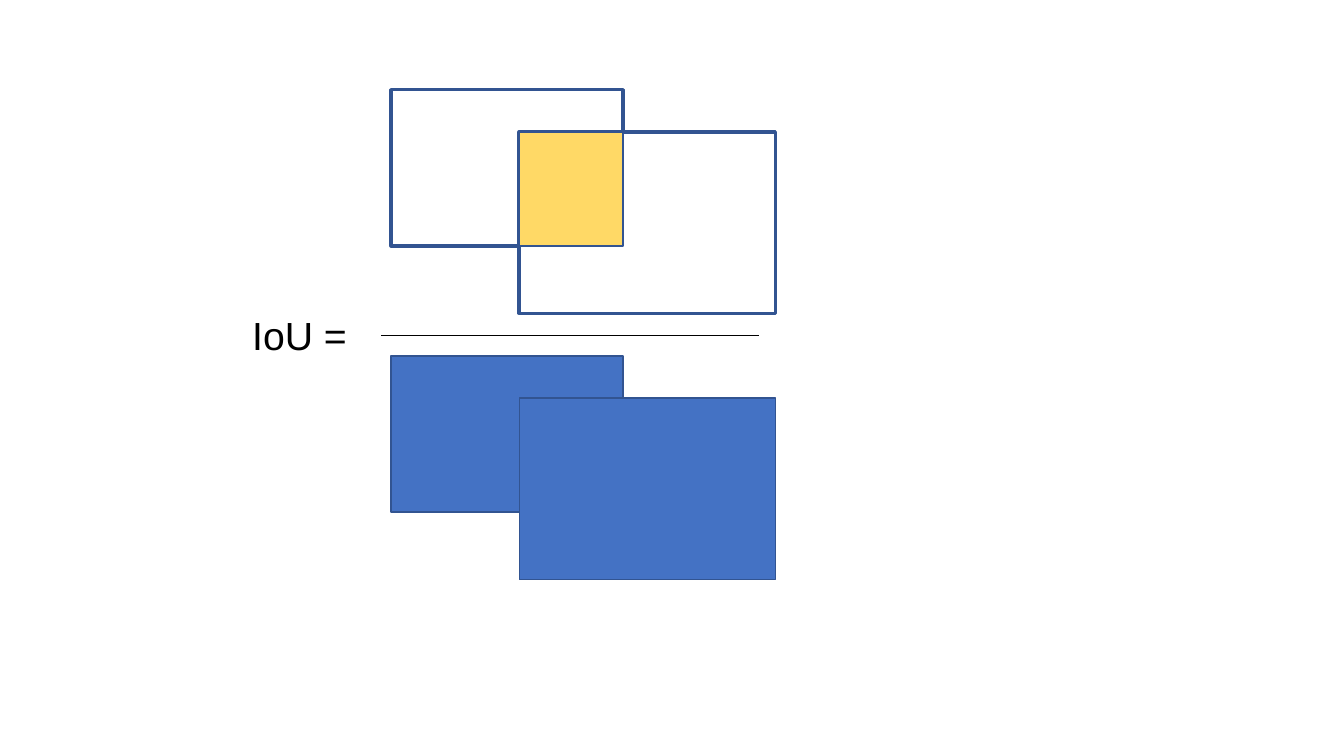
"""Draw intersection over union as a fraction of overlapping boxes."""
from lxml import etree
from pptx import Presentation, util as u
from pptx.dml.color import RGBColor
from pptx.enum import shapes, text
from pptx.oxml.ns import qn

WHITE = RGBColor(0xFF, 0xFF, 0xFF)
BLACK = RGBColor(0, 0, 0)
BLUE = RGBColor(0x44, 0x72, 0xC4)
NAVY = RGBColor(0x32, 0x54, 0x91)
GOLD = RGBColor(0xFF, 0xD9, 0x66)

SCALE = 9144
SIZE = 1333, 750
LABEL = "IoU = "
LABEL_BOX = 201, 304, 203, 57
BAR = 378, 333, 753, 333
FIRST = 388, 89, 230, 155
SECOND = 515, 131, 254, 180
DROP = 264


def px(*nums):
    return [u.Emu(n * SCALE) for n in nums]


def shift(box, dy):
    left, top, wide, high = box
    return left, top + dy, wide, high


def overlap(one, two):
    left, top = max(one[0], two[0]), max(one[1], two[1])
    right = min(one[0] + one[2], two[0] + two[2])
    base = min(one[1] + one[3], two[1] + two[3])
    return left, top, right - left, base - top


def add_rect(slide, box, fill, width):
    rect = slide.shapes.add_shape(shapes.MSO_SHAPE.RECTANGLE, *px(*box))
    rect.shadow.inherit = False
    rect.fill.solid()
    rect.fill.fore_color.rgb = fill
    rect.line.color.rgb = NAVY
    rect.line.width = u.Pt(width)


def add_label(slide):
    frame = slide.shapes.add_textbox(*px(*LABEL_BOX)).text_frame
    form = {"word_wrap": True, "auto_size": text.MSO_AUTO_SIZE.SHAPE_TO_FIT_TEXT}
    for key, value in form.items():
        setattr(frame, key, value)
    para = frame.paragraphs[0]
    para.alignment = text.PP_ALIGN.CENTER
    run = para.add_run()
    run.text = LABEL
    for key, value in {"name": "Arial", "size": u.Pt(28)}.items():
        setattr(run.font, key, value)
    run.font.color.rgb = BLACK


def add_bar(slide):
    bar = slide.shapes.add_connector(shapes.MSO_CONNECTOR.STRAIGHT, *px(*BAR))
    bar.line.color.rgb = BLACK
    bar.line.width = u.Pt(1)
    etree.SubElement(bar._element.spPr, qn("a:effectLst"))


def main():
    deck = Presentation()
    deck.slide_width, deck.slide_height = px(*SIZE)
    slide = deck.slides.add_slide(deck.slide_layouts[6])
    add_label(slide)
    add_bar(slide)
    for dy, fill, width in ((DROP, BLUE, 1), (0, WHITE, 2.5)):
        for box in (FIRST, SECOND):
            add_rect(slide, shift(box, dy), fill, width)
    add_rect(slide, overlap(FIRST, SECOND), GOLD, 1)
    deck.save("out.pptx")


if __name__ == "__main__":
    main()
